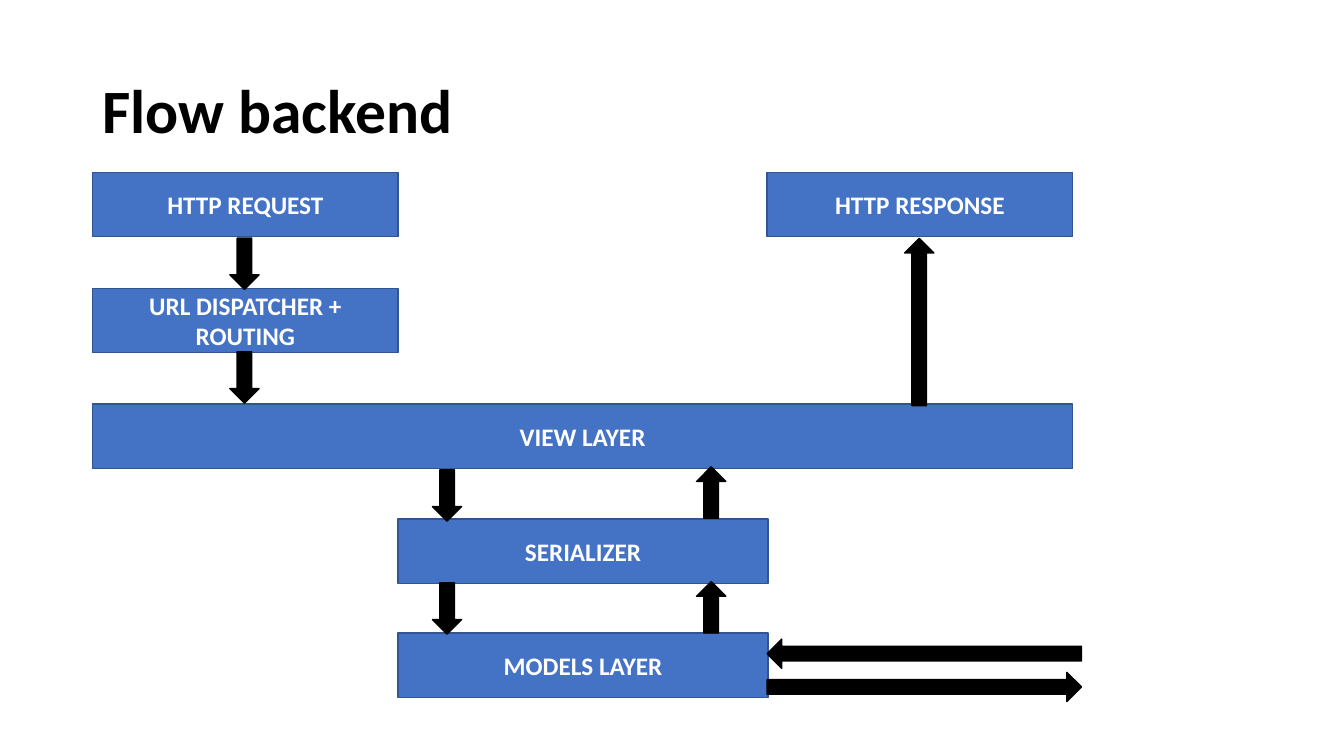
from pptx import Presentation
from pptx.dml.color import RGBColor
from pptx.enum.shapes import MSO_SHAPE
from pptx.enum.text import MSO_ANCHOR, MSO_AUTO_SIZE, PP_ALIGN
from pptx.util import Pt

RECTANGLE, RIGHT_ARROW = MSO_SHAPE.RECTANGLE, MSO_SHAPE.RIGHT_ARROW
MIDDLE, NO_FIT = MSO_ANCHOR.MIDDLE, MSO_AUTO_SIZE.NONE
LEFT, CENTER = PP_ALIGN.LEFT, PP_ALIGN.CENTER

BLUE = RGBColor(0x44, 0x72, 0xC4)
DARK_BLUE = RGBColor(0x32, 0x54, 0x91)
BLACK = RGBColor(0, 0, 0)
WHITE = RGBColor(255, 255, 255)

TITLE_FORMAT = {"name": "Calibri", "size": Pt(44), "bold": True}
LABEL_FORMAT = {"name": "Calibri", "size": Pt(18), "bold": True}

BOX_HEIGHT = 46
ARROW_THICKNESS = 20.9
RIGHT, DOWN, BACK, UP = 0, 90, 180, 270
SHORT, TALL, WIDE = 36.7, 119.5, 224.6
REQUEST_X, CALL_X, RETURN_X, RESPONSE_X, DATA_X = 174.6, 319.3, 508, 656.6, 660.2

BOXES = [
    ("HTTP REQUEST", 66.2, 123.1, 218.2),
    ("URL DISPATCHER + ROUTING", 66.2, 205.9, 218.2),
    ("HTTP RESPONSE", 548, 123.1, 218.2),
    ("VIEW LAYER", 66.2, 288.7, 700),
    ("SERIALIZER", 284.4, 370.8, 264.2),
    ("MODELS LAYER", 284.4, 452.2, 264.2),
]

ARROWS = [
    (REQUEST_X, 188.4, SHORT, DOWN),
    (REQUEST_X, 269.6, SHORT, DOWN),
    (CALL_X, 353.9, SHORT, DOWN),
    (CALL_X, 434.6, SHORT, DOWN),
    (RETURN_X, 433.8, SHORT, UP),
    (RETURN_X, 351.8, SHORT, UP),
    (RESPONSE_X, 230, TALL, UP),
    (DATA_X, 490.7, WIDE, RIGHT),
    (DATA_X, 466.9, WIDE, BACK),
]


def write_text(shape, text, text_format, color, alignment):
    frame = shape.text_frame
    frame.text = text
    frame.word_wrap = True
    frame.auto_size = NO_FIT
    frame.vertical_anchor = MIDDLE
    paragraph = frame.paragraphs[0]
    paragraph.alignment = alignment
    font = paragraph.runs[0].font
    for attribute, value in text_format.items():
        setattr(font, attribute, value)
    font.color.rgb = color
    return paragraph


def add_title(slide, text):
    title = slide.shapes.title
    title.left, title.top = Pt(66), Pt(28.8)
    title.width, title.height = Pt(828), Pt(104.4)
    paragraph = write_text(title, text, TITLE_FORMAT, BLACK, LEFT)
    paragraph.line_spacing = 0.9


def add_filled_shape(slide, kind, left, top, width, height, fill, line):
    shape = slide.shapes.add_shape(kind, Pt(left), Pt(top), Pt(width), Pt(height))
    shape.shadow.inherit = False
    shape.fill.solid()
    shape.fill.fore_color.rgb = fill
    shape.line.color.rgb = line
    shape.line.width = Pt(1)
    return shape


def add_box(slide, label, left, top, width):
    box = add_filled_shape(slide, RECTANGLE, left, top, width, BOX_HEIGHT, BLUE, DARK_BLUE)
    write_text(box, label, LABEL_FORMAT, WHITE, CENTER)


def add_arrow(slide, center_x, center_y, length, direction):
    left = center_x - length / 2
    top = center_y - ARROW_THICKNESS / 2
    arrow = add_filled_shape(slide, RIGHT_ARROW, left, top, length, ARROW_THICKNESS, BLACK, BLACK)
    arrow.rotation = direction


def main():
    presentation = Presentation()
    presentation.slide_width, presentation.slide_height = Pt(960), Pt(540)
    slide = presentation.slides.add_slide(presentation.slide_layouts.get_by_name("Title Only"))
    add_title(slide, "Flow backend")
    for box in BOXES:
        add_box(slide, *box)
    for arrow in ARROWS:
        add_arrow(slide, *arrow)
    presentation.save("out.pptx")


if __name__ == "__main__":
    main()
